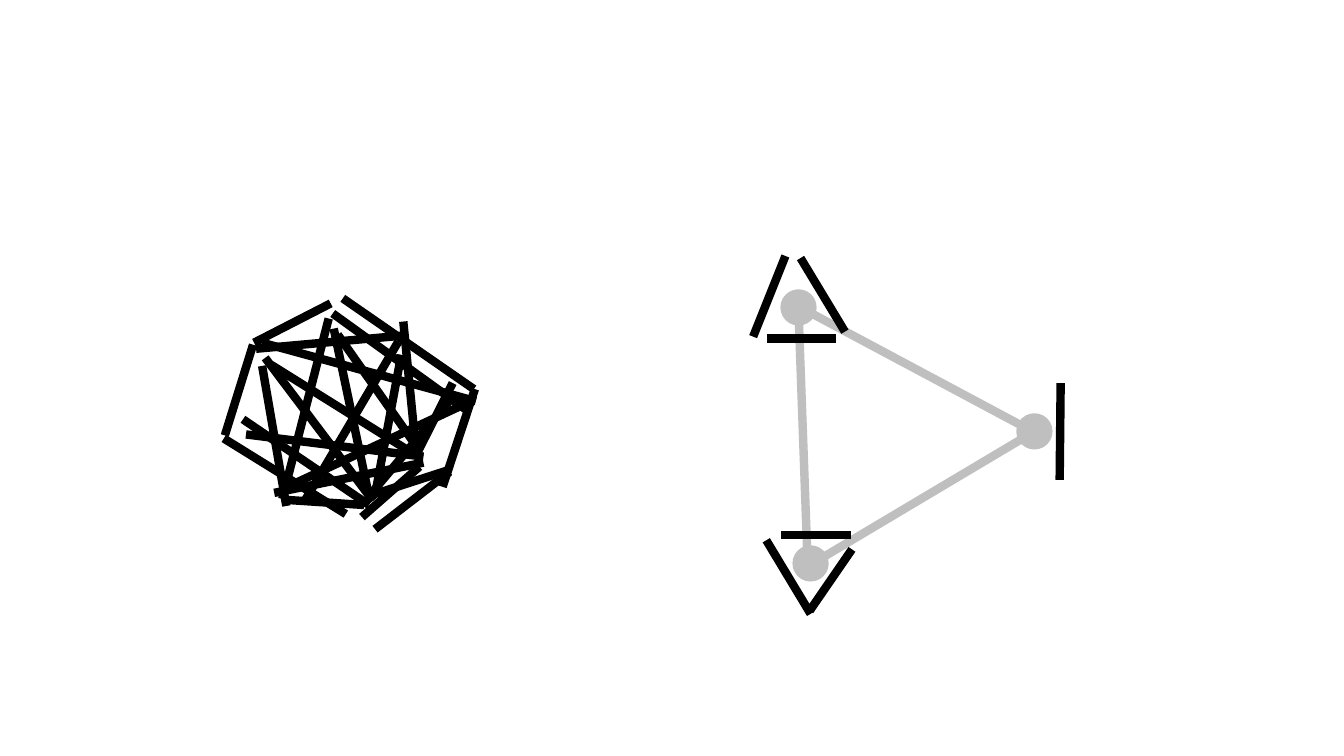
from lxml import etree
from pptx import Presentation
from pptx.dml.color import RGBColor
from pptx.enum.shapes import MSO_CONNECTOR, MSO_SHAPE
from pptx.oxml.ns import qn
from pptx.util import Inches, Pt

STRAIGHT = MSO_CONNECTOR.STRAIGHT
OVAL = MSO_SHAPE.OVAL
COLORS = {"stroke": "000000", "graph": "BFBFBF"}
LINE_WIDTH = 6
NODE_SIZE = 0.36

# Lines are (x1, y1, x2, y2) and nodes are centres, in inches
triangle_edges = [
    (10.26, 4.28, 8.06, 5.59),
    (7.92, 3.08, 8.01, 5.59),
    (7.92, 3.04, 10.26, 4.29),
]
lower_nodes = [(8.04, 5.59), (10.26, 4.28)]
top_node = [(7.92, 3.05)]

# Tangle on the left: lines meeting at the bottom node
bottom_fan = [
    (4.71, 3.86, 4.39, 4.83),
    (4.43, 4.67, 3.69, 4.91),
    (4.52, 3.9, 3.67, 4.91),
    (3.98, 3.52, 3.72, 4.91),
    (3.31, 3.26, 3.67, 4.97),
    (2.63, 3.55, 3.7, 4.97),
    (2.41, 4.16, 3.66, 5.01),
    (2.85, 4.96, 3.61, 5.01),
]
# Lines meeting at the right node, kept as one group
right_fan = [
    (4.49, 3.8, 4.14, 4.49),
    (4, 3.19, 4.13, 4.51),
    (3.35, 3.32, 4.16, 4.47),
    (2.69, 3.62, 4.18, 4.55),
    (2.44, 4.31, 4.2, 4.53),
    (2.72, 4.89, 4.2, 4.59),
    (3.59, 5.13, 4.16, 4.63),
]
outline = [
    (4.7, 3.86, 3.4, 2.96),
    (2.52, 3.4, 3.28, 3.01),
    (2.51, 3.42, 2.23, 4.32),
    (3.43, 5.1, 2.22, 4.35),
    (3.72, 5.25, 4.46, 4.68),
]
inner_chords = [
    (2.84, 5.02, 2.6, 3.63),
    (3.99, 3.33, 2.54, 3.46),
    (4.63, 4.07, 3.3, 3.11),
    (4.65, 3.99, 2.85, 4.83),
    (3.95, 3.39, 3.01, 4.99),
    (3.26, 3.16, 2.8, 4.95),
    (2.6, 3.4, 4.72, 3.98),
]
# Strokes around the triangle's nodes
node_strokes = [
    (10.52, 3.8, 10.51, 4.76),
    (8.29, 3.36, 7.61, 3.36),
    (8.44, 5.31, 7.75, 5.31),
    (8.45, 5.45, 8.03, 6.06),
    (7.6, 5.36, 8.04, 6.09),
    (7.94, 2.56, 8.38, 3.29),
    (7.79, 2.54, 7.47, 3.34),
]


def draw_lines(shapes, lines, color):
    for line in lines:
        connector = shapes.add_connector(STRAIGHT, *map(Inches, line))
        connector.line.color.rgb = RGBColor.from_string(COLORS[color])
        connector.line.width = Pt(LINE_WIDTH)
        etree.SubElement(connector._element.spPr, qn("a:effectLst"))


def draw_nodes(shapes, centers):
    for x, y in centers:
        node = shapes.add_shape(
            OVAL, Inches(x - NODE_SIZE / 2), Inches(y - NODE_SIZE / 2),
            Inches(NODE_SIZE), Inches(NODE_SIZE))
        node.shadow.inherit = False
        node.fill.solid()
        node.fill.fore_color.rgb = RGBColor.from_string(COLORS["graph"])
        node.line.fill.background()


presentation = Presentation()
presentation.slide_width = Inches(13.33)
presentation.slide_height = Inches(7.5)
slide = presentation.slides.add_slide(presentation.slide_layouts[6])
shapes = slide.shapes

# Back to front
draw_lines(shapes, triangle_edges, "graph")
draw_nodes(shapes, lower_nodes)
draw_lines(shapes, bottom_fan, "stroke")
draw_lines(shapes.add_group_shape().shapes, right_fan, "stroke")
draw_lines(shapes, outline + inner_chords + node_strokes, "stroke")
draw_nodes(shapes, top_node)

presentation.save("out.pptx")
